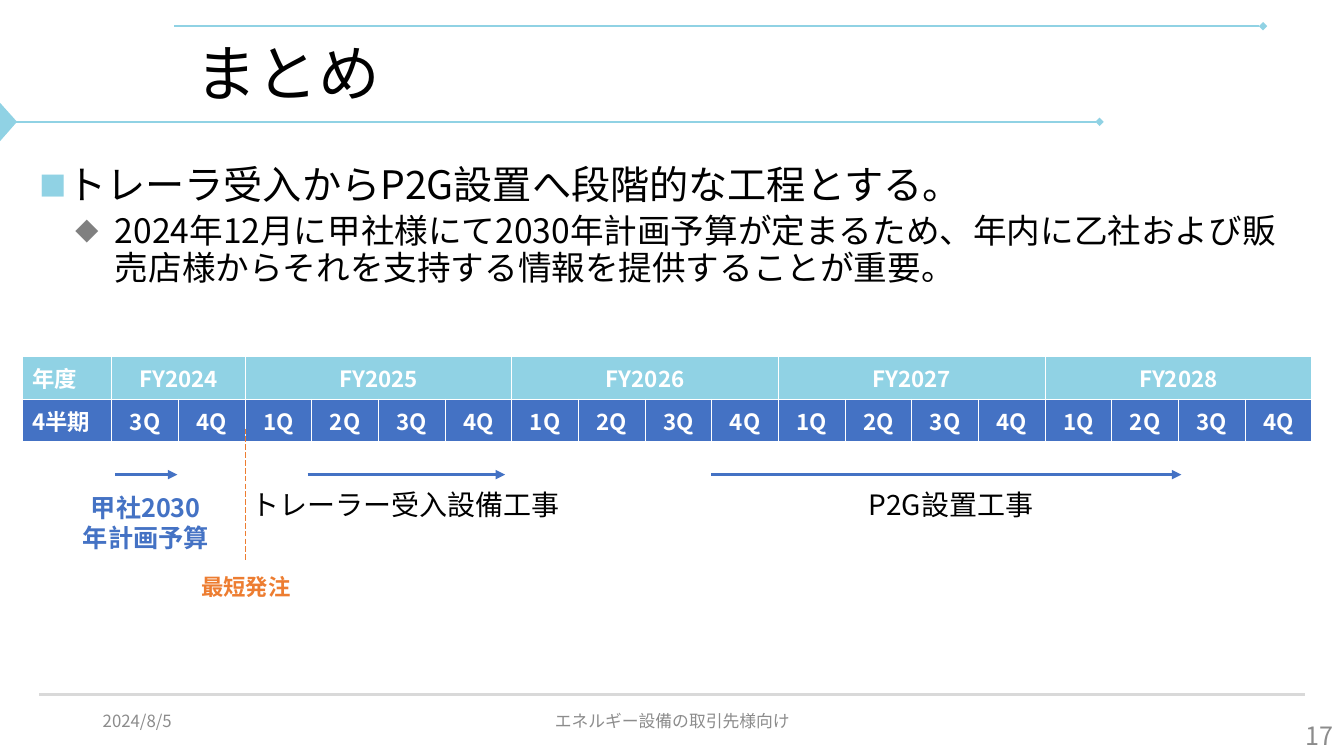
from lxml import etree
from pptx import Presentation
from pptx import util as u
from pptx.dml.color import RGBColor
from pptx.enum import dml, shapes, text
from pptx.oxml import ns

THEME = {
    "font": "Noto Sans CJK JP",
    "aqua": "90D2E4", "blue": "4472C4", "orange": "ED7D31", "black": "000000",
    "white": "FFFFFF", "rule": "D9D9D9", "muted": "8C8C8C", "bullet": "808080",
    "title": 44, "body": 28, "detail": 24, "label": 20, "page": 18,
    "budget": 18, "table": 16, "order": 16, "footer": 12,
}
LEFT, CENTER, RIGHT = text.PP_ALIGN.LEFT, text.PP_ALIGN.CENTER, text.PP_ALIGN.RIGHT


def write(paragraph, wording, size, color, align=LEFT, bold=False):
    paragraph.text = wording
    paragraph.alignment = align
    font = paragraph.font
    font.size = u.Pt(THEME[size])
    font.bold = bold
    font.color.rgb = RGBColor.from_string(THEME[color])
    font.name = THEME["font"]
    properties = paragraph._p.pPr.find(ns.qn("a:defRPr"))
    etree.SubElement(properties, ns.qn("a:ea"), typeface=THEME["font"])


def draw_line(x1, y1, x2, y2, color, width, head=None):
    line = slide.shapes.add_connector(
        shapes.MSO_CONNECTOR.STRAIGHT, u.Cm(x1), u.Cm(y1), u.Cm(x2), u.Cm(y2))
    line.line.color.rgb = RGBColor.from_string(THEME[color])
    line.line.width = u.Pt(width)
    if head:
        etree.SubElement(line.line._get_or_add_ln(), ns.qn("a:tailEnd"), type=head)
    etree.SubElement(line._element.spPr, ns.qn("a:effectLst"))
    return line


presentation = Presentation()
presentation.slide_width = u.Cm(33.87)
presentation.slide_height = u.Cm(19.05)
slide = presentation.slides.add_slide(presentation.slide_layouts[1])

draw_line(0.99, 17.5, 32.89, 17.5, "rule", 1.5)
draw_line(4.39, 0.66, 31.83, 0.66, "aqua", 1.5, "diamond")
draw_line(0.28, 3.07, 27.71, 3.07, "aqua", 1.5, "diamond")
outline = slide.shapes.build_freeform(u.Cm(0), u.Cm(2.59))
outline.add_line_segments([(u.Cm(0.43), u.Cm(3.07)), (u.Cm(0), u.Cm(3.56))])
marker = outline.convert_to_shape()
marker.shadow.inherit = False
marker.fill.solid()
marker.fill.fore_color.rgb = RGBColor.from_string(THEME["aqua"])
marker.line.fill.background()

title, body = slide.placeholders
title.left, title.top, title.width, title.height = map(u.Cm, (4.67, 1.02, 27.43, 1.8))
title.text_frame.vertical_anchor = text.MSO_ANCHOR.MIDDLE
title.text_frame.auto_size = text.MSO_AUTO_SIZE.NONE
write(title.text_frame.paragraphs[0], "まとめ", "title", "black")
title.text_frame.paragraphs[0].line_spacing = 0.9

body.left, body.top, body.width, body.height = map(u.Cm, (0.74, 4.04, 32.05, 4.06))
body.text_frame.auto_size = text.MSO_AUTO_SIZE.NONE
points = [
    ("トレーラ受入からP2G設置へ段階的な工程とする。", "body", "■", "aqua", 0.7, 0.7, 0),
    ("2024年12月に甲社様にて2030年計画予算が定まるため、年内に乙社およ"
     "び販売店様からそれを支持する情報を提供することが重要。",
     "detail", "◆", "bullet", 1.9, 1, 5),
]
body.text_frame.add_paragraph()
for level, (paragraph, point) in enumerate(zip(body.text_frame.paragraphs, points)):
    wording, size, symbol, color, margin, hanging, before = point
    paragraph.level = level
    paragraph.line_spacing = 0.9
    paragraph.space_before = u.Pt(before)
    properties = paragraph._p.get_or_add_pPr()
    properties.set("marL", str(u.Cm(margin)))
    properties.set("indent", str(-u.Cm(hanging)))
    bullet_color = etree.SubElement(properties, ns.qn("a:buClr"))
    etree.SubElement(bullet_color, ns.qn("a:srgbClr"), val=THEME[color])
    etree.SubElement(properties, ns.qn("a:buSzPct"), val="70000")
    etree.SubElement(properties, ns.qn("a:buFont"), typeface=THEME["font"])
    etree.SubElement(properties, ns.qn("a:buChar"), char=symbol)
    write(paragraph, wording, size, "black")

years = [("FY2024", 3), ("FY2025", 1), ("FY2026", 1), ("FY2027", 1), ("FY2028", 1)]
year_row, quarter_row = ["年度"], ["4半期"]
spans = []
for year, first in years:
    quarters = [f"{number}Q" for number in range(first, 5)]
    spans.append((len(year_row), len(year_row) + len(quarters) - 1))
    year_row += [year] + [""] * (len(quarters) - 1)
    quarter_row += quarters

schedule = slide.shapes.add_table(
    2, len(year_row), u.Cm(0.56), u.Cm(8.99), u.Cm(32.5), u.Cm(2.1)).table
for index, column in enumerate(schedule.columns):
    column.width = u.Cm(1.68 if index else 2.26)
for row, wordings, color in zip(schedule.rows, (year_row, quarter_row), ("aqua", "blue")):
    row.height = u.Cm(1.05)
    for index, (cell, wording) in enumerate(zip(row.cells, wordings)):
        cell.vertical_anchor = text.MSO_ANCHOR.MIDDLE
        for side in ("lnL", "lnR", "lnT", "lnB"):
            border = etree.SubElement(
                cell._tc.get_or_add_tcPr(), ns.qn(f"a:{side}"), w=str(u.Pt(1)))
            border_fill = etree.SubElement(border, ns.qn("a:solidFill"))
            etree.SubElement(border_fill, ns.qn("a:srgbClr"), val=THEME["white"])
        cell.fill.solid()
        cell.fill.fore_color.rgb = RGBColor.from_string(THEME[color])
        if wording:
            write(cell.text_frame.paragraphs[0], wording, "table", "white",
                  CENTER if index else LEFT, True)
for first, last in spans:
    schedule.cell(0, first).merge(schedule.cell(0, last))

for start, end in [(2.9, 4.47), (7.75, 12.73), (17.93, 29.77)]:
    draw_line(start, 11.96, end, 11.96, "blue", 2.25, "triangle")
earliest_order = draw_line(6.18, 10.8, 6.18, 14.15, "orange", 0.5)
earliest_order.line.dash_style = dml.MSO_LINE.LONG_DASH

TOP, MIDDLE = text.MSO_ANCHOR.TOP, text.MSO_ANCHOR.MIDDLE
labels = [
    ("トレーラー受入設備工事", 5.56, 12.17, 9.32, 1.12, "label", "black", CENTER, False, TOP),
    ("P2G設置工事", 20.78, 12.17, 6.38, 1.12, "label", "black", CENTER, False, TOP),
    ("最短発注", 4.62, 14.33, 3.15, 0.94, "order", "orange", CENTER, True, TOP),
    ("甲社2030年計画予算", 1.73, 12.27, 3.89, 2.57, "budget", "blue", CENTER, True, TOP),
    ("2024/8/5", 2.34, 17.65, 7.62, 1.02, "footer", "muted", LEFT, False, MIDDLE),
    ("エネルギー設備の取引先様向け", 11.23, 17.65, 11.43, 1.02,
     "footer", "muted", CENTER, False, MIDDLE),
    ("17", 26.24, 18.03, 7.62, 1.02, "page", "muted", RIGHT, False, MIDDLE),
]
for wording, left, top, width, height, size, color, align, bold, anchor in labels:
    frame = slide.shapes.add_textbox(*map(u.Cm, (left, top, width, height))).text_frame
    frame.word_wrap = True
    frame.vertical_anchor = anchor
    write(frame.paragraphs[0], wording, size, color, align, bold)

presentation.save("out.pptx")
